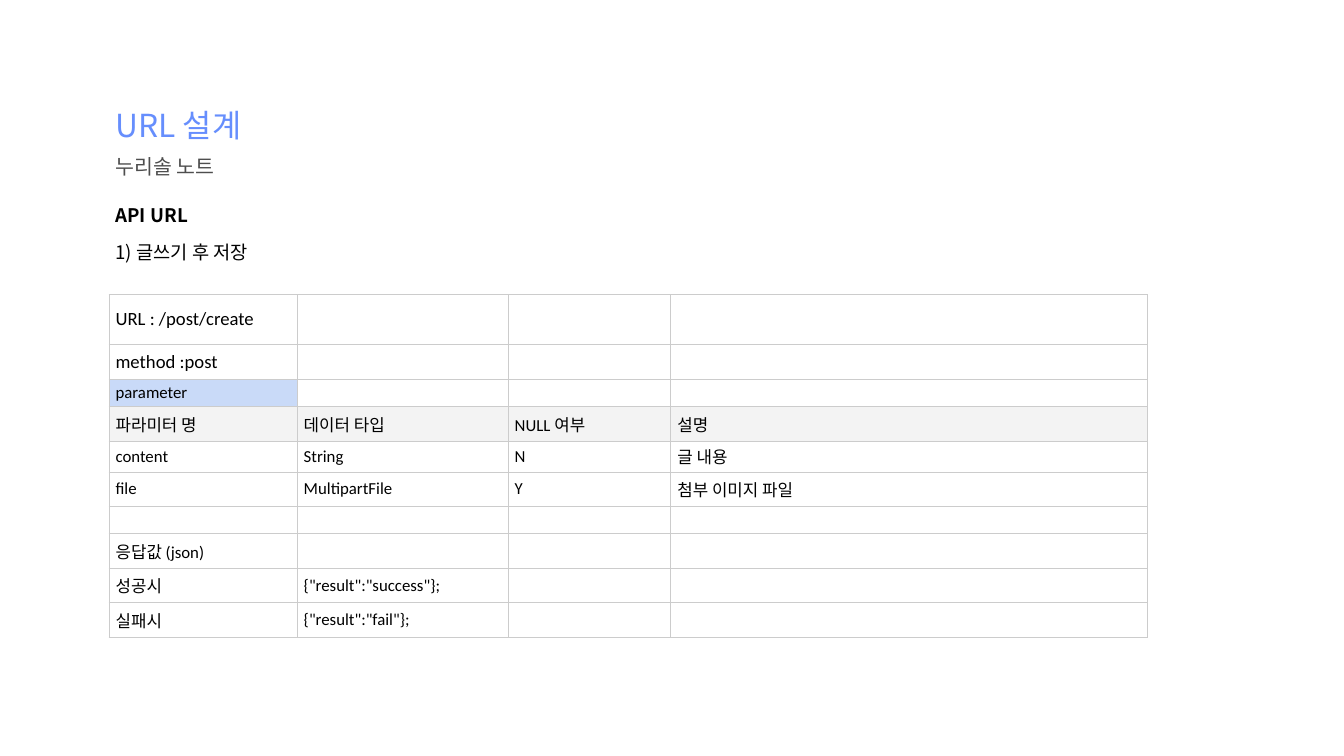
from lxml.etree import SubElement
from pptx import Presentation
from pptx.dml.color import RGBColor
from pptx.enum.text import MSO_ANCHOR as Anchor, MSO_AUTO_SIZE as AutoSize, PP_ALIGN as Align
from pptx.oxml.ns import qn
from pptx.util import Inches, Pt

WIDTH, HEIGHT = Inches(20), Inches(11.25)
KOREAN, LATIN = "Noto Sans CJK KR", "Calibri"

BLUE = RGBColor(0x66, 0x8E, 0xFD)
GREY = RGBColor(0x4E, 0x4E, 0x4E)
BLACK = RGBColor(0, 0, 0)
LABEL_FILL = RGBColor(0xC9, 0xDA, 0xF8)
HEADER_FILL = RGBColor(0xF3, 0xF3, 0xF3)
BORDER = RGBColor(0xCC, 0xCC, 0xCC)

# Lengths are percentages of the slide's width or height
LEFT = 8.1
COLUMNS = (14, 15.7, 12.1, 35.5)

# Row height, text size, then the filled cells from the left
ROWS = (
    (6.67, 20, ["URL : /post/create"]),
    (4.56, 20, ["method :post"]),
    (3.6, 18, ["parameter"]),
    (4.56, 18, ["파라미터 명", "데이터 타입", "NULL 여부", "설명"]),
    (4.1, 18, ["content", "String", "N", "글 내용"]),
    (4.56, 18, ["file", "MultipartFile", "Y", "첨부 이미지 파일"]),
    (3.6, 18, []),
    (4.56, 18, ["응답값 (json)"]),
    (4.56, 18, ["성공시", '{"result":"success"};']),
    (4.56, 18, ["실패시", '{"result":"fail"};']),
)
FILLS = {(2, 0): LABEL_FILL} | {(3, column): HEADER_FILL for column in range(len(COLUMNS))}


def across(percent):
    return int(WIDTH * percent / 100)


def down(percent):
    return int(HEIGHT * percent / 100)


def write(para, text, size, color=BLACK, font=LATIN, bold=False):
    """Add one formatted span, with the Korean font for East Asian letters."""
    span = para.add_run()
    span.text = text
    span.font.size, span.font.bold, span.font.name = Pt(size), bold, font
    span.font.color.rgb = color
    SubElement(span.font._element, qn("a:ea"), typeface=KOREAN)


def fill_box(box, top, width, height, lines, gap=0, **style):
    """Place a box on the left edge and write its lines."""
    box.left, box.top = across(LEFT), down(top)
    box.width, box.height = across(width), down(height)
    frame = box.text_frame
    frame.word_wrap, frame.auto_size = True, AutoSize.NONE
    frame.vertical_anchor = Anchor.TOP
    for index, (text, bold) in enumerate(lines):
        para = frame.add_paragraph() if index else frame.paragraphs[0]
        para.alignment, para.line_spacing = Align.JUSTIFY, 1.0
        para.space_before = Pt(gap if index else 0)
        write(para, text, font=KOREAN, bold=bold, **style)


def draw_borders(cell):
    props = cell._tc.get_or_add_tcPr()
    for side in ("lnL", "lnR", "lnT", "lnB"):
        line = SubElement(props, qn(f"a:{side}"), w=str(Pt(0.75)))
        fill = SubElement(line, qn("a:solidFill"))
        SubElement(fill, qn("a:srgbClr"), val=str(BORDER))


def add_api_table(page):
    heights = [height for height, _, _ in ROWS]
    table = page.shapes.add_table(
        len(ROWS), len(COLUMNS), across(LEFT), down(38.93),
        across(sum(COLUMNS)), down(sum(heights))).table
    table.first_row = table.horz_banding = False
    for column, width in zip(table.columns, COLUMNS):
        column.width = across(width)
    for row, (height, size, texts) in enumerate(ROWS):
        table.rows[row].height = down(height)
        for column in range(len(COLUMNS)):
            cell = table.cell(row, column)
            cell.vertical_anchor = Anchor.MIDDLE
            draw_borders(cell)
            if (row, column) in FILLS:
                cell.fill.solid()
                cell.fill.fore_color.rgb = FILLS[row, column]
            else:
                cell.fill.background()
            if column < len(texts):
                write(cell.text_frame.paragraphs[0], texts[column], size)


def main():
    deck = Presentation()
    deck.slide_width, deck.slide_height = WIDTH, HEIGHT
    page = deck.slides.add_slide(deck.slide_layouts[0])

    # Title and subtitle
    fill_box(page.shapes.title, 13.6, 38, 10, [("URL 설계", False)], size=34, color=BLUE)
    fill_box(page.placeholders[1], 19.91, 38, 6.6, [("누리솔 노트", False)], size=22, color=GREY)

    # Section heading
    heading = page.shapes.add_textbox(0, 0, 0, 0)
    fill_box(heading, 26.49, 71.5, 8.7,
             [("API URL", True), ("1) 글쓰기 후 저장", False)], gap=16, size=20)

    # API description
    add_api_table(page)
    deck.save("out.pptx")


if __name__ == "__main__":
    main()
